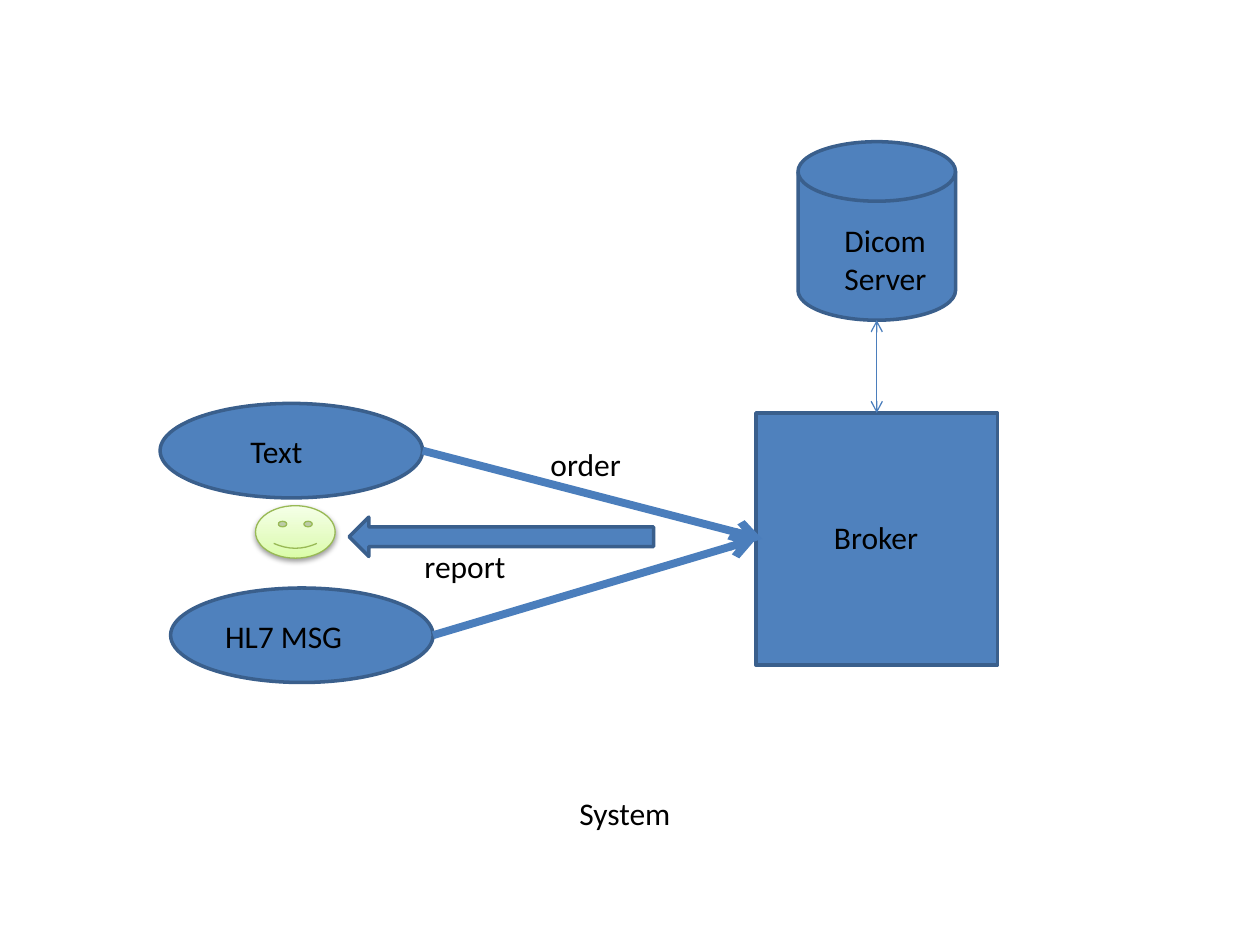
from dataclasses import dataclass

from lxml import etree
from pptx import Presentation
from pptx.dml.color import RGBColor
from pptx.enum.shapes import MSO_CONNECTOR, MSO_SHAPE
from pptx.oxml import parse_xml
from pptx.oxml.ns import nsdecls, qn
from pptx.util import Pt

RECTANGLE = MSO_SHAPE.RECTANGLE
OVAL = MSO_SHAPE.OVAL
SMILEY = MSO_SHAPE.SMILEY_FACE
LEFT_ARROW = MSO_SHAPE.LEFT_ARROW
DISK = MSO_SHAPE.FLOWCHART_MAGNETIC_DISK
STRAIGHT = MSO_CONNECTOR.STRAIGHT


@dataclass(frozen=True)
class Theme:
    """Colours, type and line widths of the diagram."""
    font: str = "Calibri"
    size: float = 18
    text: str = "000000"
    fill: str = "4F81BD"
    outline: str = "3A5F8C"
    outline_width: float = 2
    link: str = "4B7EBC"
    thin: float = 0.75
    thick: float = 4.5
    face_line: str = "98B955"
    face_stops: tuple = ((0, "DAFDA7"), (35, "E4FCC2"), (100, "F5FFE7"))


class Diagram:
    """Draws the elements of a system diagram on one slide."""

    def __init__(self, page, theme):
        """Keep the slide and its style."""
        self.page = page
        self.theme = theme

    def set_line(self, item, colour, width):
        """Give an element its line colour and width."""
        item.line.color.rgb = RGBColor.from_string(colour)
        item.line.width = Pt(width)

    def shape(self, kind, *place):
        """Add a blue outlined shape."""
        shape = self.page.shapes.add_shape(kind, *map(Pt, place))
        shape.shadow.inherit = False
        shape.fill.solid()
        shape.fill.fore_color.rgb = RGBColor.from_string(self.theme.fill)
        self.set_line(shape, self.theme.outline, self.theme.outline_width)
        return shape

    def face(self, *place):
        """Add the shaded green face with a soft shadow."""
        face = self.shape(SMILEY, *place)
        self.set_line(face, self.theme.face_line, self.theme.thin)
        face.fill.gradient()
        face.fill.gradient_angle = 90
        properties = face._element.spPr
        stops = properties.find(".//" + qn("a:gsLst"))
        for stop in list(stops):
            stops.remove(stop)
        for position, colour in self.theme.face_stops:
            stops.append(parse_xml(
                f'<a:gs {nsdecls("a")} pos="{position * 1000}">'
                f'<a:srgbClr val="{colour}"/></a:gs>'))
        properties.find(qn("a:effectLst")).append(parse_xml(
            f'<a:outerShdw {nsdecls("a")} blurRad="{Pt(3.1)}" dist="{Pt(1.6)}" '
            'dir="5400000" rotWithShape="0"><a:srgbClr val="000000">'
            '<a:alpha val="38000"/></a:srgbClr></a:outerShdw>'))

    def label(self, text, *place):
        """Add a text box with one paragraph per line of text."""
        frame = self.page.shapes.add_textbox(*map(Pt, place)).text_frame
        frame.word_wrap = True
        frame.text = text
        style = {"name": self.theme.font, "size": Pt(self.theme.size)}
        for para in frame.paragraphs:
            for span in para.runs:
                for name, value in style.items():
                    setattr(span.font, name, value)
                span.font.color.rgb = RGBColor.from_string(self.theme.text)

    def link(self, start, end, width, ends=("tailEnd",)):
        """Add a straight connector with open arrowheads."""
        link = self.page.shapes.add_connector(STRAIGHT, *map(Pt, start + end))
        self.set_line(link, self.theme.link, width)
        for name in ends:
            etree.SubElement(link.line._get_or_add_ln(), qn("a:" + name), type="arrow")
        etree.SubElement(link._element.spPr, qn("a:effectLst"))


def main():
    """Build the slide and save it."""
    theme = Theme()
    deck = Presentation()
    deck.slide_width, deck.slide_height = Pt(720), Pt(540)
    diagram = Diagram(deck.slides.add_slide(deck.slide_layouts[6]), theme)

    diagram.shape(RECTANGLE, 432, 236, 138, 144)
    diagram.label("Broker", 469.5, 292.5, 72, 29)
    for left, top in ((91.5, 230.5), (97.5, 336)):
        diagram.shape(OVAL, left, top, 150, 54)
    diagram.label("Text", 136, 243.5, 66, 29)
    diagram.label("HL7 MSG", 121.5, 348.75, 90, 29)

    diagram.link((241.5, 257.5), (435.5, 308), theme.thick)
    diagram.link((247.5, 363), (432, 308), theme.thick)
    diagram.face(146, 289, 45.5, 30)
    diagram.shape(LEFT_ARROW, 199.5, 295.5, 174, 22.5)
    diagram.label("order", 307.5, 250.75, 66, 29)
    diagram.label("report", 235.5, 309, 66, 29)

    diagram.shape(DISK, 456, 81, 90, 102)
    diagram.link((501, 183), (501, 236), theme.thin, ("headEnd", "tailEnd"))
    diagram.label("Dicom\nServer", 475.5, 123, 66, 51)
    diagram.label("System", 324, 450, 88.5, 29)
    deck.save("out.pptx")


main()
